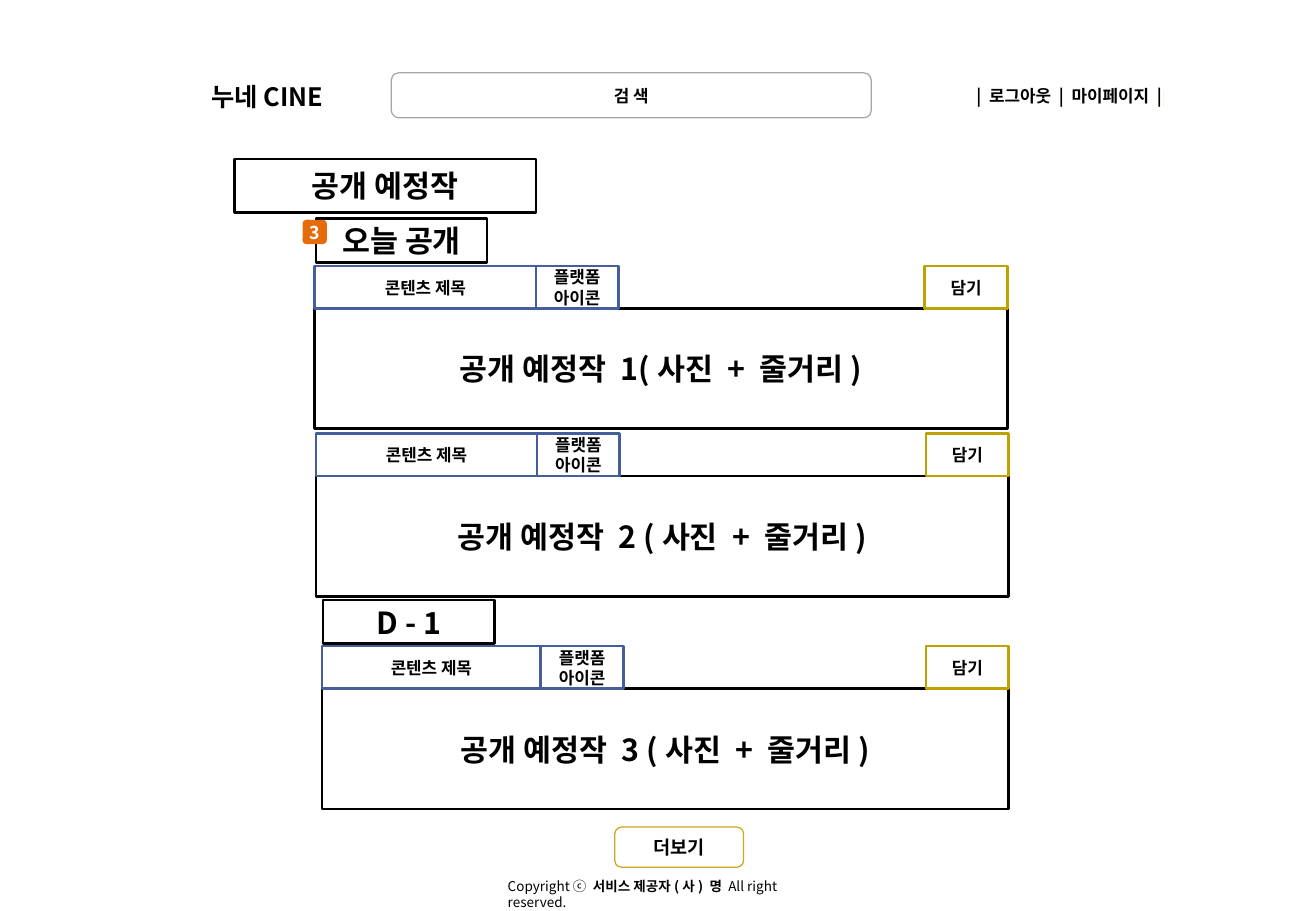
from lxml import etree
from pptx import Presentation
from pptx.dml.color import RGBColor
from pptx.enum.shapes import MSO_SHAPE
from pptx.enum.text import MSO_ANCHOR, MSO_AUTO_SIZE, PP_ALIGN
from pptx.oxml.ns import qn
from pptx.util import Pt

PX = 9144  # 100 px to the inch
FONT = "Noto Sans CJK KR"
RECT, ROUNDED = MSO_SHAPE.RECTANGLE, MSO_SHAPE.ROUNDED_RECTANGLE
LEFT, CENTER, RIGHT = PP_ALIGN.LEFT, PP_ALIGN.CENTER, PP_ALIGN.RIGHT
MIDDLE = MSO_ANCHOR.MIDDLE
GROW = MSO_AUTO_SIZE.SHAPE_TO_FIT_TEXT
COLORS = {name: RGBColor.from_string(value) for name, value in {
    "black": "000000", "white": "FFFFFF", "gray": "A6A6A6", "blue": "475E9C",
    "gold": "BFA100", "amber": "CEA61D", "orange": "E46C0A", "cream": "FAF3DB",
}.items()}

prs = Presentation()
prs.slide_width, prs.slide_height = 1083 * PX, 750 * PX
slide = prs.slides.add_slide(prs.slide_layouts[6])


def write(frame, text, size, color="black", bold=True, align=CENTER):
    """Put one paragraph per line of text into the frame, in one style."""
    frame.word_wrap = True
    frame.text = text
    for paragraph in frame.paragraphs:
        paragraph.alignment = align
        font = paragraph.font
        font.name, font.size, font.bold = FONT, Pt(size), bold
        font.color.rgb = COLORS[color]
        defaults = paragraph._p.pPr.find(qn("a:defRPr"))
        etree.SubElement(defaults, qn("a:ea")).set("typeface", FONT)


def add_box(kind, area, text, size, line=None, width=1.5, fill=None, color="black"):
    shape = slide.shapes.add_shape(kind, *(n * PX for n in area))
    shape.shadow.inherit = False
    if fill:
        shape.fill.solid()
        shape.fill.fore_color.rgb = COLORS[fill]
    else:
        shape.fill.background()
    if line:
        shape.line.color.rgb = COLORS[line]
        shape.line.width = Pt(width)
    else:
        shape.line.fill.background()
    shape.text_frame.vertical_anchor = MIDDLE
    write(shape.text_frame, text, size, color)
    return shape


# Header and footer text
text_boxes = [
    ((164, 62, 113, 35), "누네CINE", 15, True, LEFT),
    ((759, 66, 210, 26), "| 로그아웃 | 마이페이지 |", 10, True, RIGHT),
    ((408, 718, 289, 24), "Copyright ⓒ ", 8, False, LEFT),
]
frames = []
for area, text, size, bold, align in text_boxes:
    frame = slide.shapes.add_textbox(*(n * PX for n in area)).text_frame
    write(frame, text, size, bold=bold, align=align)
    frame.auto_size = GROW
    frames.append(frame)
logo, menu, copyright_line = frames

menu_end = menu.paragraphs[0].add_run()
menu_end.text = "|"
menu_end.font.size, menu_end.font.bold = Pt(8), False
menu_end.font.color.rgb = COLORS["cream"]

for text, bold in [("서비스 제공자(사) 명", True), (" All right reserved.", False)]:
    run = copyright_line.paragraphs[0].add_run()
    run.text = text
    run.font.bold = bold

add_box(ROUNDED, (322, 60, 395, 37), "검 색", 10, "gray", 0.75)

# Section headings
headings = [
    ((193, 131, 248, 44), "공개 예정작"),
    ((260, 180, 141, 36), "오늘 공개"),
    ((266, 494, 141, 36), "D - 1"),
]
for area, text in headings:
    add_box(RECT, area, text, 18, "black", fill="white")

# Upcoming titles: a row of tabs above each description
TAB_HEIGHT, CARD_HEIGHT, BUTTON_WIDTH = 35, 99, 68
cards = [
    (259, 219, 570, 182, "공개 예정작 1(사진 + 줄거리)"),
    (260, 357, 570, 182, "공개 예정작 2 (사진 + 줄거리)"),
    (265, 532, 565, 180, "공개 예정작 3 (사진 + 줄거리)"),
]
for left, top, width, title_width, summary in cards:
    add_box(RECT, (left, top + TAB_HEIGHT, width, CARD_HEIGHT), summary, 18,
            "black", fill="white")
    tabs = [
        (left, title_width, "콘텐츠 제목", "blue"),
        (left + title_width, BUTTON_WIDTH, "플랫폼\n아이콘", "blue"),
        (left + width - BUTTON_WIDTH, BUTTON_WIDTH, "담기", "gold"),
    ]
    for tab_left, tab_width, text, line in tabs:
        add_box(RECT, (tab_left, top, tab_width, TAB_HEIGHT), text, 10, line)

add_box(ROUNDED, (506, 681, 106, 33), "더보기", 11, "amber", 0)

badge = add_box(ROUNDED, (249, 181, 20, 20), "3", 10.5, fill="orange", color="white")
badge.text_frame.margin_left = badge.text_frame.margin_right = 0

prs.save("out.pptx")
